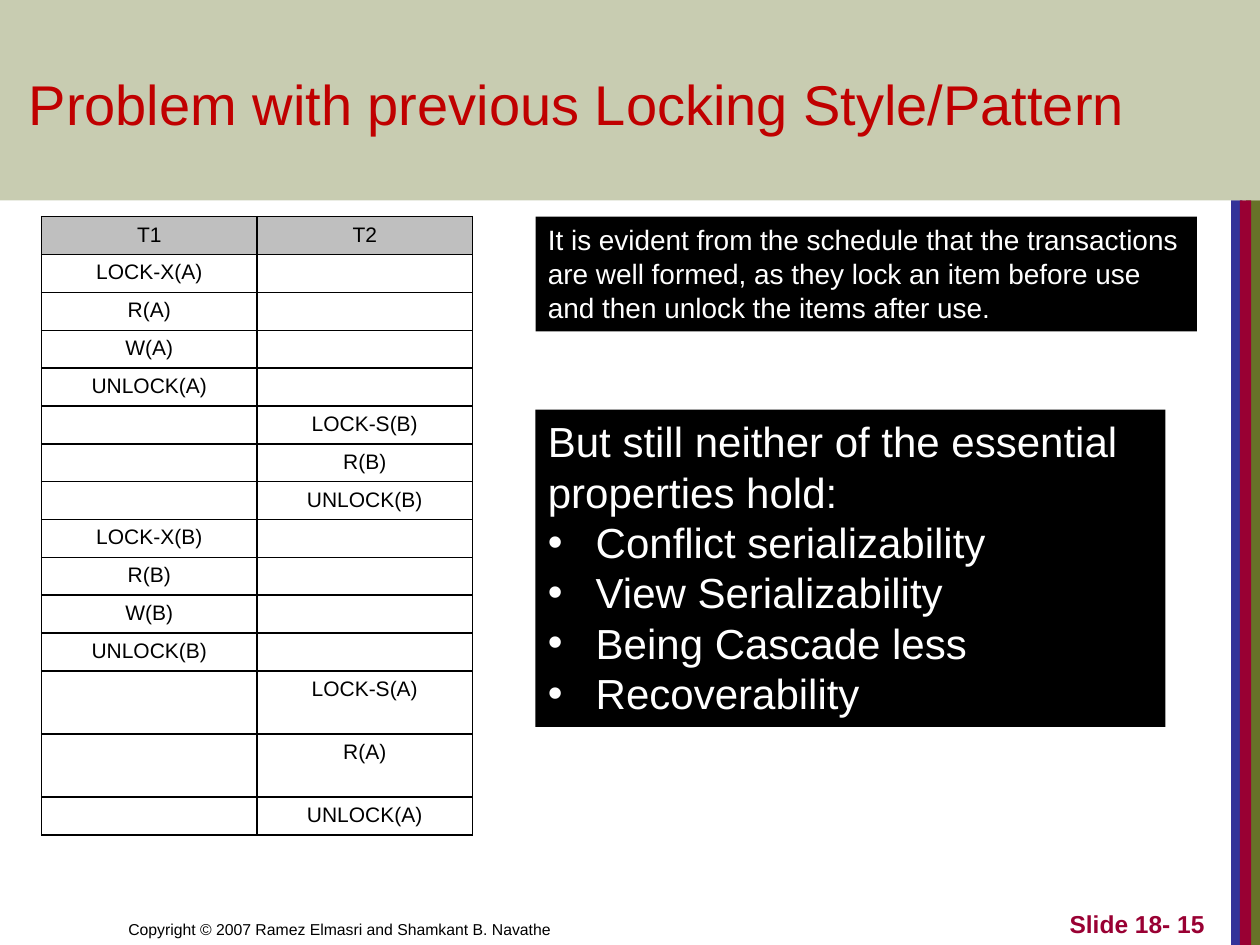
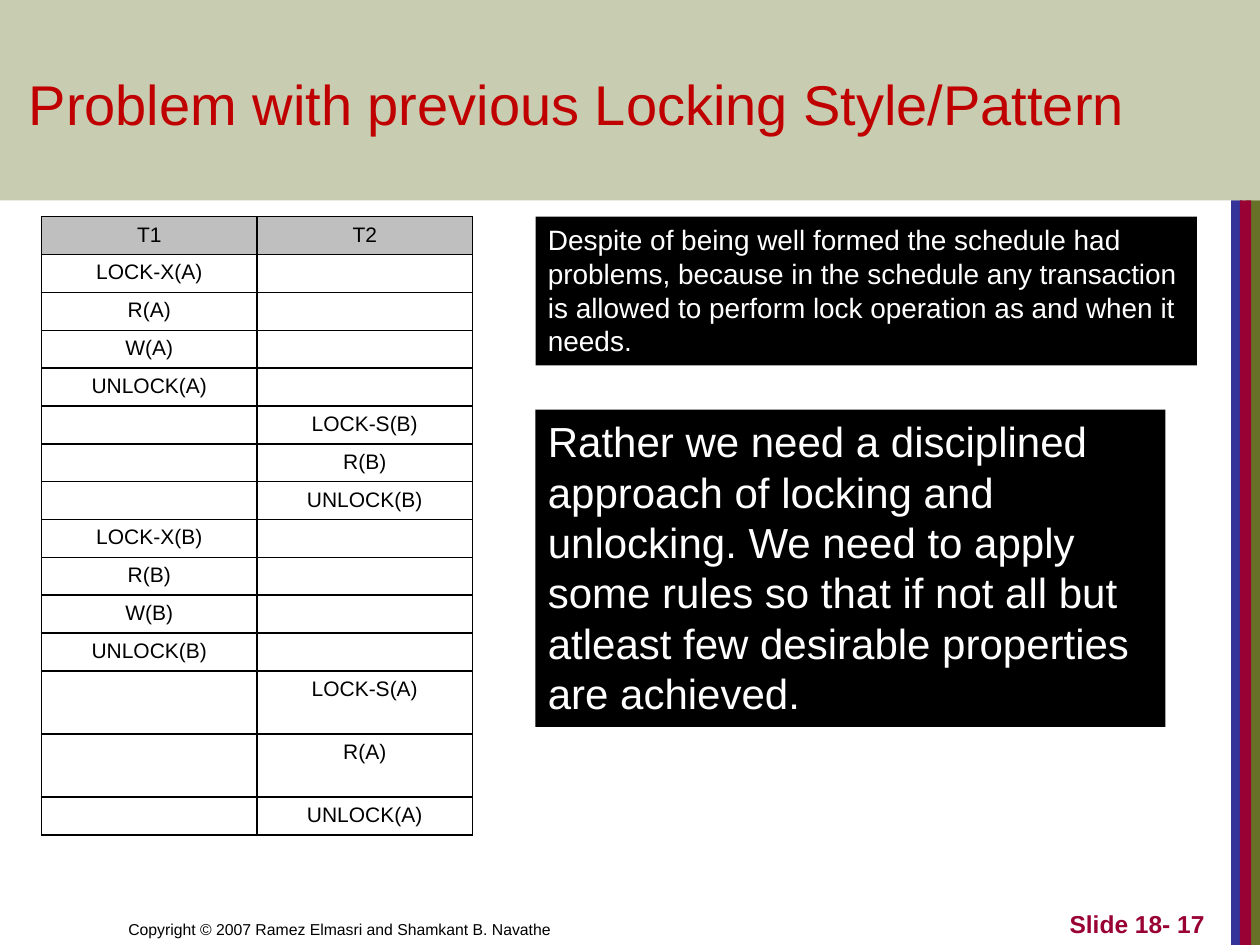
from lxml import etree
from pptx import Presentation
from pptx.dml.color import RGBColor
from pptx.enum.shapes import MSO_SHAPE
from pptx.enum.text import MSO_ANCHOR, PP_ALIGN
from pptx.oxml.ns import qn
from pptx.util import Inches, Pt

RECT = MSO_SHAPE.RECTANGLE
TOP, BOTTOM = MSO_ANCHOR.TOP, MSO_ANCHOR.BOTTOM
LEFT, CENTER, RIGHT = PP_ALIGN.LEFT, PP_ALIGN.CENTER, PP_ALIGN.RIGHT

FONT = "Arial"
BLACK, WHITE = "000000", "FFFFFF"
OLIVE, BLUE, WINE, RED, GRAY = "677228", "333399", "990033", "C00000", "BFBFBF"

TITLE = "Problem with previous Locking Style/Pattern"
COPYRIGHT = "Copyright © 2007 Ramez Elmasri and Shamkant B. Navathe"
STRIPES = [(9.89, 0.11, OLIVE), (9.77, 0.09, BLUE), (9.84, 0.09, WINE)]
BAND_H = 1.59

# Each step of the schedule: (T1, T2)
SCHEDULE = [
    ("T1", "T2"),
    ("LOCK-X(A)", ""), ("R(A)", ""), ("W(A)", ""), ("UNLOCK(A)", ""),
    ("", "LOCK-S(B)"), ("", "R(B)"), ("", "UNLOCK(B)"),
    ("LOCK-X(B)", ""), ("R(B)", ""), ("W(B)", ""), ("UNLOCK(B)", ""),
    ("", "LOCK-S(A)"), ("", "R(A)"), ("", "UNLOCK(A)"),
]
TALL_ROWS = (12, 13)

# Slide number, height of the remark, remark, conclusion, bullets
SLIDES = [
    (15, 0.91,
     "It is evident from the schedule that the transactions are well formed, "
     "as they lock an item before use and then unlock the items after use.",
     "But still neither of the essential properties hold:",
     ["Conflict serializability", "View Serializability",
      "Being Cascade less", "Recoverability"]),
    (17, 1.18,
     "Despite of being well formed the schedule had problems, because in the "
     "schedule any transaction is allowed to perform lock operation as and "
     "when it needs.",
     "Rather we need a disciplined approach of locking and unlocking. We need "
     "to apply some rules so that if not all but atleast few desirable "
     "properties are achieved.",
     []),
]


def rgb(color):
    return RGBColor.from_string(color)


def add_box(s, at, text="", size=12, color=BLACK, fill=None, bold=False,
            align=LEFT, anchor=TOP, bullets=()):
    """Add a filled rectangle, or a text box if there is no fill."""
    at = [Inches(v) for v in at]
    if fill:
        sp = s.shapes.add_shape(RECT, *at)
        sp.shadow.inherit = False
        sp.fill.solid()
        sp.fill.fore_color.rgb = rgb(fill)
        sp.line.fill.background()
    else:
        sp = s.shapes.add_textbox(*at)
    tf = sp.text_frame
    tf.word_wrap = True
    tf.vertical_anchor = anchor
    for i, line in enumerate([text, *bullets] if text else []):
        p = tf.add_paragraph() if i else tf.paragraphs[0]
        p.alignment = align
        if i:
            pPr = p._p.get_or_add_pPr()
            pPr.set("marL", str(Inches(0.38)))
            pPr.set("indent", str(-Inches(0.38)))
            etree.SubElement(pPr, qn("a:buFont"), typeface=FONT)
            etree.SubElement(pPr, qn("a:buChar"), char="•")
        r = p.add_run()
        r.text = line
        r.font.name = FONT
        r.font.size = Pt(size)
        r.font.bold = bold
        r.font.color.rgb = rgb(color)
    return sp


prs = Presentation()
prs.slide_width, prs.slide_height = Inches(10), Inches(7.5)

for number, remark_h, remark, conclusion, bullets in SLIDES:
    s = prs.slides.add_slide(prs.slide_layouts[6])

    # Stripes, title band and footers
    for x, w, color in STRIPES:
        add_box(s, (x, BAND_H, w, 7.5 - BAND_H), fill=color)
    band = add_box(s, (0, 0, 10, BAND_H), fill=OLIVE)
    band_color = band._element.spPr.find(qn("a:solidFill"))[0]
    etree.SubElement(band_color, qn("a:alpha"), val="36000")
    add_box(s, (0.92, 7, 4.92, 0.5), COPYRIGHT, 9, anchor=BOTTOM)
    add_box(s, (7.58, 7, 2.08, 0.5), f"Slide 18- {number}", 14, WINE,
            bold=True, align=RIGHT, anchor=BOTTOM)
    add_box(s, (0.13, 0.5, 9.58, 0.64), TITLE, 32, RED)

    # Schedule
    table = s.shapes.add_table(len(SCHEDULE), 2, Inches(0.33), Inches(1.72),
                               Inches(3.42), Inches(4.9)).table
    for i, step in enumerate(SCHEDULE):
        table.rows[i].height = Inches(0.5 if i in TALL_ROWS else 0.3)
        for j, action in enumerate(step):
            cell = table.cell(i, j)
            tcPr = cell._tc.get_or_add_tcPr()
            for side in ("a:lnL", "a:lnR", "a:lnT", "a:lnB"):
                ln = etree.SubElement(tcPr, qn(side), w=str(Pt(1)))
                line_fill = etree.SubElement(ln, qn("a:solidFill"))
                etree.SubElement(line_fill, qn("a:srgbClr"), val=BLACK)
            if i == 0:
                cell.fill.solid()
                cell.fill.fore_color.rgb = rgb(GRAY)
            else:
                cell.fill.background()
            p = cell.text_frame.paragraphs[0]
            p.alignment = CENTER
            if action:
                r = p.add_run()
                r.text = action
                r.font.name = FONT
                r.font.size = Pt(12)
                r.font.bold = False
                r.font.color.rgb = rgb(BLACK)
            else:
                etree.SubElement(p._p, qn("a:endParaRPr"), sz="1200")

    # Remarks beside the schedule
    add_box(s, (4.25, 1.72, 5.25, remark_h), remark, 16, WHITE, BLACK)
    add_box(s, (4.25, 3.25, 5, 2.52), conclusion, 24, WHITE, BLACK,
            bullets=bullets)

prs.save("out.pptx")
